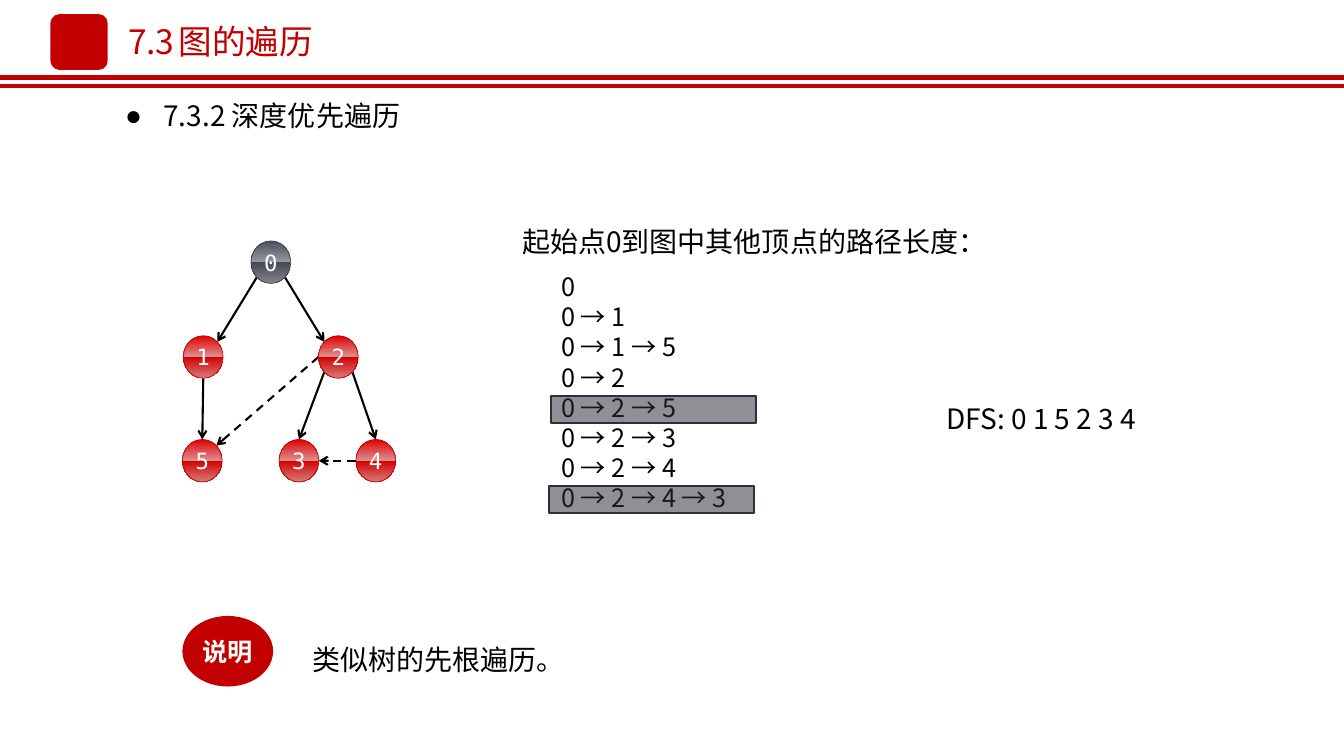
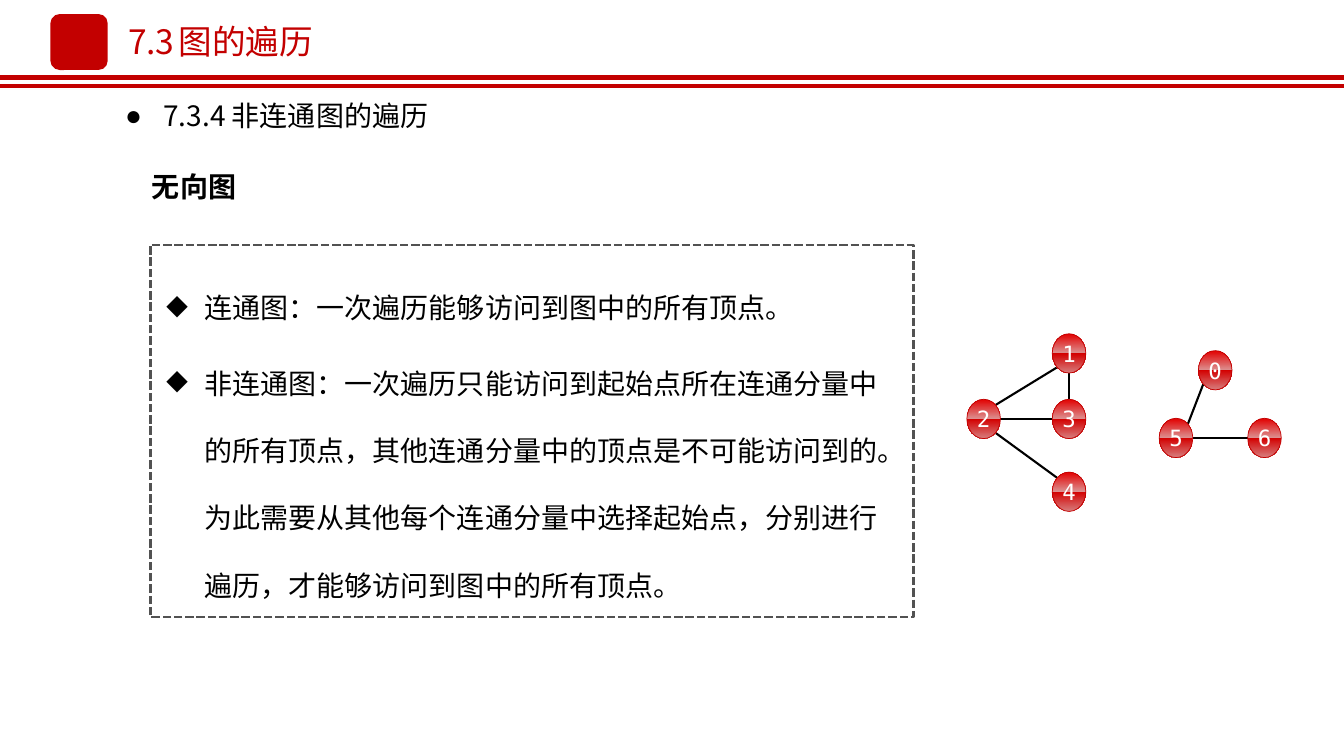
"""Build two slides on graph traversal: depth-first search and unconnected graphs."""
import math
from dataclasses import dataclass
from typing import Any, Optional

import pptx
import pptx.dml.color
import pptx.enum.dml
import pptx.enum.shapes
import pptx.enum.text
import pptx.oxml.ns
import pptx.util
from lxml import etree

RED = pptx.dml.color.RGBColor(0xC3, 0x00, 0x00)
SLATE = pptx.dml.color.RGBColor(0x3B, 0x3E, 0x4D)
INK = pptx.dml.color.RGBColor(0x2C, 0x2E, 0x3A)
GREY = pptx.dml.color.RGBColor(0x52, 0x52, 0x52)
BLACK = pptx.dml.color.RGBColor(0x00, 0x00, 0x00)
WHITE = pptx.dml.color.RGBColor(0xFF, 0xFF, 0xFF)
RED_GLOSS = ("E59D9D", "E20000", "DC9090", "D30000", "D77C7C", "D30000")
SLATE_GLOSS = ("A3A4A8", "4B4F62", "97979C", "434758", "84858B", "434758")
GLOSS_STOPS = (0, 0, 50, 50, 100, 100)

SANS = "Noto Sans CJK SC"
MONO = "DejaVu Sans Mono"
HANGING = 27.36
TOP, TOP_LEFT, LEFT, BOTTOM_LEFT, BOTTOM, BOTTOM_RIGHT, RIGHT, TOP_RIGHT = range(8)

Pt = pptx.util.Pt
Shapes = pptx.enum.shapes.MSO_SHAPE
Dash = pptx.enum.dml.MSO_LINE
Align = pptx.enum.text.PP_ALIGN
Anchor = pptx.enum.text.MSO_ANCHOR


@dataclass(frozen=True)
class Box:
    left: float
    top: float
    width: float
    height: float

    def lengths(self) -> tuple:
        """Return the four lengths for a shape call."""
        return tuple(Pt(v) for v in (self.left, self.top, self.width, self.height))


@dataclass(frozen=True)
class Style:
    size: float = 20
    color: Any = BLACK
    bold: bool = False
    font: str = SANS
    bullet: str = ""
    tab: float = 0
    align: Any = Align.LEFT
    line_spacing: Any = None
    space_before: float = 0


@dataclass(frozen=True)
class Edge:
    start: str
    start_site: int
    end: str
    end_site: int
    dashed: bool = False


@dataclass(frozen=True)
class Graph:
    node_width: float
    node_height: float
    corners: dict
    edges: tuple
    directed: bool = False
    root: str = ""

    def node_box(self, label: str) -> Box:
        """Return the frame of one vertex."""
        return Box(*self.corners[label], self.node_width, self.node_height)

    def site(self, label: str, index: int) -> tuple:
        """Return one of eight points on a vertex, counter-clockwise from the top."""
        node = self.node_box(label)
        angle = index * math.pi / 4
        return (node.left + node.width / 2 * (1 - math.sin(angle)),
                node.top + node.height / 2 * (1 - math.cos(angle)))


SECTION_STYLE = Style(24, RED, tab=49)
TOPIC_STYLE = Style(bullet="●")
NODE_STYLE = Style(16, WHITE, font=MONO, align=Align.CENTER)
TITLE_BOX = Box(84.24, 11.52, 160, 36)
TOPIC_BOX = Box(82.08, 66.96, 381.6, 31.68)

SEARCH_TREE = Graph(
    28.4, 30.4,
    {"0": (179.3, 172.1), "1": (131, 239.8), "2": (227.5, 239.8),
     "5": (130.3, 313.9), "3": (199.4, 313.9), "4": (254.2, 313.9)},
    (Edge("0", BOTTOM_LEFT, "1", TOP_RIGHT), Edge("0", BOTTOM_RIGHT, "2", TOP_LEFT),
     Edge("1", BOTTOM, "5", TOP), Edge("2", BOTTOM_LEFT, "3", TOP),
     Edge("2", BOTTOM_RIGHT, "4", TOP), Edge("4", LEFT, "3", RIGHT, True),
     Edge("2", LEFT, "5", TOP_RIGHT, True)),
    directed=True, root="0")
SPLIT_GRAPH = Graph(
    24, 28.1,
    {"1": (751.6, 238.4), "2": (690.6, 285.2), "3": (751.6, 285.2),
     "4": (751.6, 337.2), "0": (856, 250.4), "5": (828, 298.8), "6": (891.2, 298.8)},
    (Edge("1", BOTTOM_LEFT, "2", TOP_RIGHT), Edge("2", BOTTOM_RIGHT, "4", TOP_LEFT),
     Edge("2", RIGHT, "3", LEFT), Edge("1", BOTTOM, "3", TOP),
     Edge("0", BOTTOM_LEFT, "5", TOP_RIGHT), Edge("5", RIGHT, "6", LEFT)))

PATHS = ("0", "0 → 1", "0 → 1 → 5", "0 → 2", "0 → 2 → 5",
         "0 → 2 → 3", "0 → 2 → 4", "0 → 2 → 4 → 3")
DEFINITIONS = (
    "连通图：一次遍历能够访问到图中的所有顶点。",
    "非连通图：一次遍历只能访问到起始点所在连通分量中的所有顶点，"
    "其他连通分量中的顶点是不可能访问到的。"
    "为此需要从其他每个连通分量中选择起始点，分别进行遍历，才能够访问到图中的所有顶点。")


def add_xml(parent: Any, tag: str, **attributes: str) -> Any:
    """Append a drawing element to a parent element."""
    return etree.SubElement(parent, pptx.oxml.ns.qn(tag), attributes)


def write(frame: Any, lines: tuple, style: Style, wrap: bool = True, anchor: Any = Anchor.TOP,
          insets: tuple = (7.2, 3.6, 7.2, 3.6)) -> None:
    """Fill a text frame with one paragraph a line."""
    frame.auto_size = pptx.enum.text.MSO_AUTO_SIZE.NONE
    frame.word_wrap = wrap
    frame.vertical_anchor = anchor
    frame.margin_left, frame.margin_top, frame.margin_right, frame.margin_bottom = map(Pt, insets)
    for index, line in enumerate(lines):
        paragraph = frame.add_paragraph() if index else frame.paragraphs[0]
        properties = paragraph._p.get_or_add_pPr()
        hanging = Pt(HANGING) if style.bullet else 0
        properties.set("marL", str(hanging))
        properties.set("indent", str(-hanging))
        if style.bullet:
            add_xml(properties, "a:buChar", char=style.bullet)
        if style.tab:
            add_xml(add_xml(properties, "a:tabLst"), "a:tab", pos=str(Pt(style.tab)), algn="l")
        paragraph.alignment = style.align
        paragraph.space_before = Pt(style.space_before if index else 0)
        if style.line_spacing is not None:
            paragraph.line_spacing = style.line_spacing
        run = paragraph.add_run()
        run.text = line
        run.font.size = Pt(style.size)
        run.font.bold = style.bold
        run.font.color.rgb = style.color
        run.font.name = style.font
        add_xml(run._r.get_or_add_rPr(), "a:ea", typeface=style.font)


def add_text(slide: Any, box: Box, *lines: str, style: Style = Style(), **layout: Any) -> None:
    """Add a text box."""
    write(slide.shapes.add_textbox(*box.lengths()).text_frame, lines, style, **layout)


def add_figure(slide: Any, kind: Any, box: Box, fill: Optional[Any] = None,
               outline: Optional[Any] = None, weight: float = 1) -> Any:
    """Add a preset shape without shadow."""
    figure = slide.shapes.add_shape(kind, *box.lengths())
    figure.shadow.inherit = False
    if fill is None:
        figure.fill.background()
    else:
        figure.fill.solid()
        figure.fill.fore_color.rgb = fill
    if outline is None:
        figure.line.fill.background()
    else:
        figure.line.color.rgb = outline
        figure.line.width = Pt(weight)
    return figure


def add_line(slide: Any, start: tuple, end: tuple, color: Any = BLACK, weight: float = 1.5,
             dashed: bool = False, arrow: bool = False) -> Any:
    """Add a straight line, with an arrowhead if asked."""
    line = slide.shapes.add_connector(
        pptx.enum.shapes.MSO_CONNECTOR.STRAIGHT, *(Pt(v) for v in (*start, *end)))
    line.line.color.rgb = color
    line.line.width = Pt(weight)
    if dashed:
        line.line.dash_style = Dash.DASH
    if arrow:
        add_xml(line.line._get_or_add_ln(), "a:tailEnd", type="arrow")
    add_xml(line.element.spPr, "a:effectLst")
    return line


def add_vertex(slide: Any, box: Box, label: str, is_root: bool) -> None:
    """Add a glossy numbered vertex."""
    vertex = add_figure(slide, Shapes.OVAL, box, RED, SLATE if is_root else RED, 0.5)
    vertex.fill.gradient()
    vertex.fill.gradient_angle = 270
    stops = vertex.element.spPr.find(".//" + pptx.oxml.ns.qn("a:gsLst"))
    for stop in list(stops):
        stops.remove(stop)
    for position, color in zip(GLOSS_STOPS, SLATE_GLOSS if is_root else RED_GLOSS):
        add_xml(add_xml(stops, "a:gs", pos=str(position * 1000)), "a:srgbClr", val=color)
    write(vertex.text_frame, (label,), NODE_STYLE, False, Anchor.MIDDLE, (0, 0, 0, 0))


def add_graph(slide: Any, graph: Graph) -> None:
    """Draw the edges and vertices of a graph."""
    for edge in graph.edges:
        add_line(slide, graph.site(edge.start, edge.start_site),
                 graph.site(edge.end, edge.end_site), dashed=edge.dashed, arrow=graph.directed)
    for label in graph.corners:
        add_vertex(slide, graph.node_box(label), label, label == graph.root)


def add_highlight(slide: Any, left: float, top: float) -> None:
    """Cover one path with a translucent bar."""
    bar = add_figure(slide, Shapes.RECTANGLE, Box(left, top, 146.2, 19.4), INK, INK, 1.5)
    tint = bar.element.spPr.find(".//" + pptx.oxml.ns.qn("a:srgbClr"))
    add_xml(tint, "a:alpha", val="53000")


def prepare_layout(layout: Any) -> None:
    """Place the title and topic of the layout and drop its footers."""
    places = {0: TITLE_BOX, 1: TOPIC_BOX}
    for holder in list(layout.placeholders):
        box = places.get(holder.placeholder_format.idx)
        if box is None:
            holder.element.getparent().remove(holder.element)
        else:
            holder.left, holder.top, holder.width, holder.height = box.lengths()


def decorate_layout(layout: Any, slide: Any) -> None:
    """Draw the emblem and double rule, then hand them to the layout."""
    shared = [add_line(slide, (0, y), (960, y), RED, 3) for y in (55.4, 61.2)]
    shared.append(add_figure(slide, Shapes.ROUNDED_RECTANGLE, Box(36, 10, 41, 40), RED))
    for part in shared:
        layout.shapes.element.append(part.element)


def add_topic_slide(deck: Any, layout: Any, topic: str) -> Any:
    """Add a slide with the section title and a topic line."""
    slide = deck.slides.add_slide(layout)
    write(slide.shapes.title.text_frame, ("7.3\t图的遍历",), SECTION_STYLE, False, Anchor.MIDDLE)
    write(slide.placeholders[1].text_frame, (topic,), TOPIC_STYLE)
    return slide


def fill_depth_first(slide: Any) -> None:
    """Show the search tree, its paths and the visiting order."""
    add_text(slide, Box(393.8, 190.1, 174.2, 181.4), *PATHS, style=Style(18))
    add_text(slide, Box(365.8, 157, 354.2, 31.7), "起始点0到图中其他顶点的路径长度：")
    add_text(slide, Box(668.9, 283, 219.6, 31.7), "DFS: 0 1 5 2 3 4")
    add_highlight(slide, 393.8, 283)
    add_highlight(slide, 392.4, 347)
    add_graph(slide, SEARCH_TREE)
    add_text(slide, Box(208.8, 446.4, 202.3, 45.4), "类似树的先根遍历。",
             style=Style(line_spacing=Pt(28)), insets=(14.4, 8.64, 7.2, 8.64))
    badge = add_figure(slide, Shapes.OVAL, Box(130.3, 440, 64.8, 50.4), RED)
    write(badge.text_frame, ("说明",), Style(18, WHITE, True, align=Align.CENTER),
          False, Anchor.MIDDLE)


def fill_unconnected(slide: Any) -> None:
    """Define connected and unconnected graphs beside an example."""
    panel = add_figure(slide, Shapes.RECTANGLE, Box(107.3, 175, 545, 265.7), None, GREY, 2)
    panel.line.dash_style = Dash.SQUARE_DOT
    write(panel.text_frame, DEFINITIONS,
          Style(bullet="◆", line_spacing=2.0, space_before=6), insets=(11.52, 8.64, 7.2, 8.64))
    add_text(slide, Box(101.5, 117.4, 95.8, 31.7), "无向图", style=Style(bold=True))
    add_graph(slide, SPLIT_GRAPH)


def main() -> None:
    """Build and save the deck."""
    deck = pptx.Presentation()
    deck.slide_width, deck.slide_height = Pt(960), Pt(540)
    layout = deck.slide_layouts[1]
    prepare_layout(layout)
    depth_first = add_topic_slide(deck, layout, "7.3.2 深度优先遍历")
    decorate_layout(layout, depth_first)
    fill_depth_first(depth_first)
    fill_unconnected(add_topic_slide(deck, layout, "7.3.4 非连通图的遍历"))
    deck.save("out.pptx")


if __name__ == "__main__":
    main()
